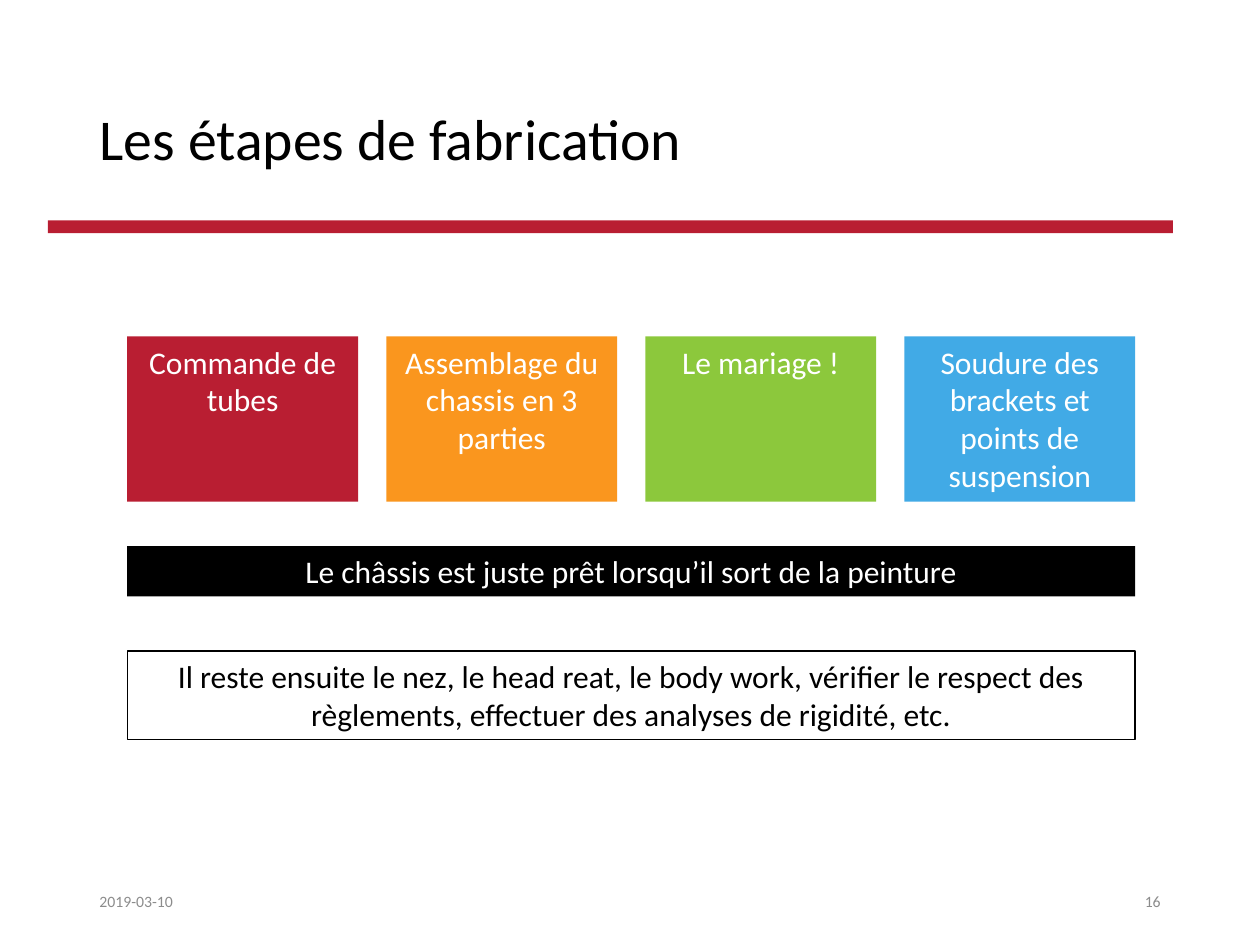
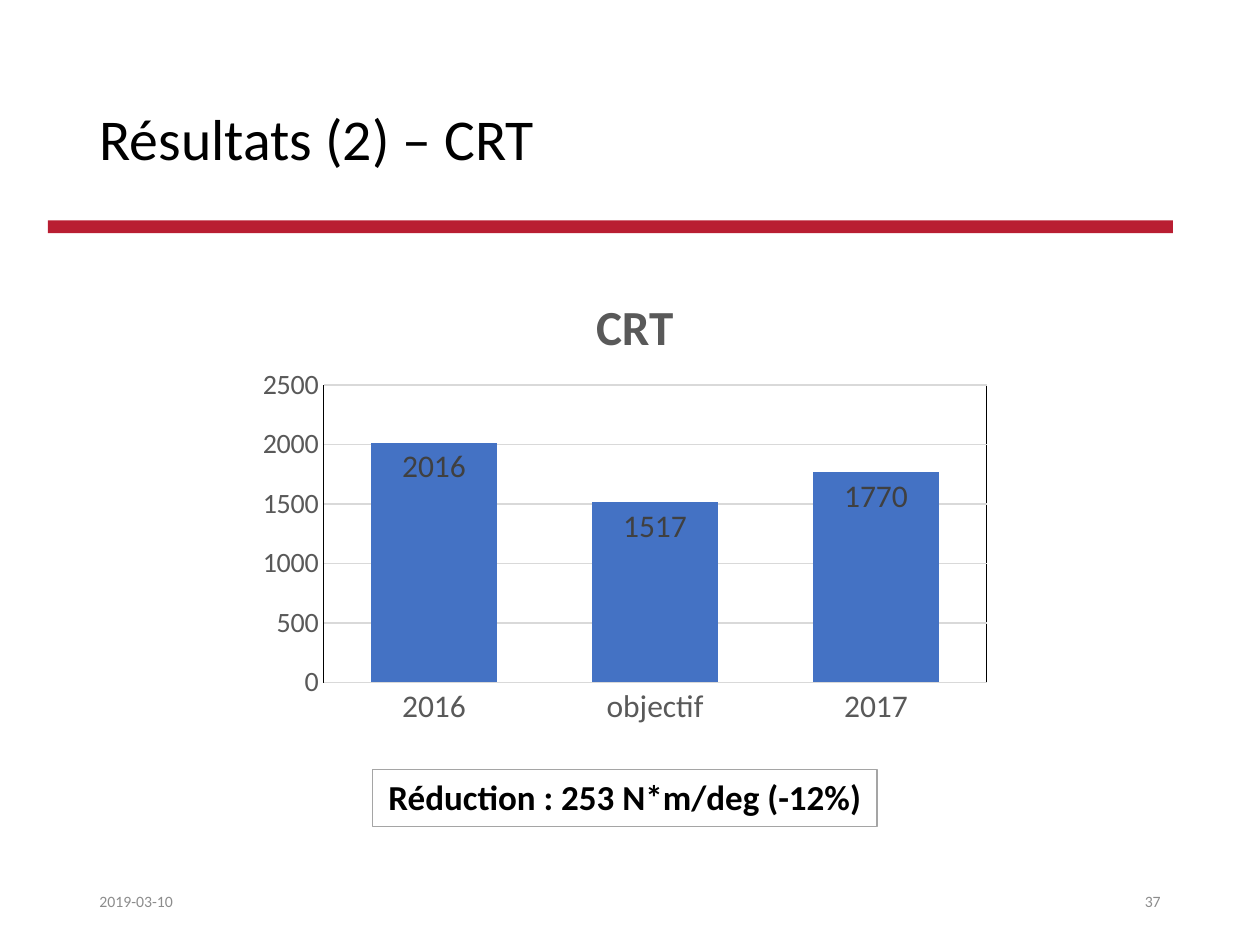
import dataclasses

import pptx
import pptx.chart.data
import pptx.dml.color
import pptx.enum.chart
import pptx.enum.shapes
import pptx.enum.text
import pptx.oxml
import pptx.oxml.ns
import pptx.util

ALIGN = pptx.enum.text.PP_ALIGN
ANCHOR = pptx.enum.text.MSO_ANCHOR
TICK = pptx.enum.chart.XL_TICK_MARK


@dataclasses.dataclass(frozen=True)
class Theme:
    font: str = "Calibri"
    red: str = "B91E32"
    orange: str = "FA961E"
    green: str = "8CC83C"
    sky: str = "41AAE6"
    bar: str = "4472C4"
    black: str = "000000"
    white: str = "FFFFFF"
    footer_grey: str = "8C8C8C"
    axis_grey: str = "595959"
    label_grey: str = "404040"
    grid_grey: str = "D9D9D9"
    border_grey: str = "A5A5A5"
    title_size: int = 33
    chart_title_size: int = 28
    callout_size: int = 20
    body_size: int = 18
    scale_size: int = 16
    footer_size: int = 9


THEME = Theme()


@dataclasses.dataclass(frozen=True)
class Box:
    left: float
    top: float
    width: float
    height: float

    def region(self, left, top, width, height):
        """Return a box given as shares of this one."""
        return Box(self.left + left * self.width, self.top + top * self.height,
                   width * self.width, height * self.height)

    def columns(self, count, gap):
        """Split into equal columns; gap is a share of the width."""
        width = (1 - gap * (count - 1)) / count
        return [self.region(i * (width + gap), 0, width, 1) for i in range(count)]

    def emu(self):
        return [pptx.util.Inches(v) for v in dataclasses.astuple(self)]


SLIDE = Box(0, 0, 10, 7.5)
HEADER = Box(0.38, 0.4, 8.93, 1.45)
FOOTER = Box(0.69, 6.95, 8.62, 0.4)
STEPS_AREA = Box(1.01, 2.67, 8, 3.2)
RESULTS_AREA = Box(1.97, 2.03, 5.98, 4.53)


def rgb(color):
    return pptx.dml.color.RGBColor.from_string(color)


def style_font(font, size, color, bold=False):
    font.name = THEME.font
    font.size = pptx.util.Pt(size)
    font.bold = bold
    font.color.rgb = rgb(color)


def write(shape, text, size=THEME.body_size, color=THEME.black, bold=False,
          align=ALIGN.LEFT, anchor=ANCHOR.MIDDLE, spacing=None):
    frame = shape.text_frame
    frame.word_wrap = True
    frame.vertical_anchor = anchor
    paragraph = frame.paragraphs[0]
    paragraph.alignment = align
    paragraph.line_spacing = spacing
    run = paragraph.add_run()
    run.text = text
    style_font(run.font, size, color, bold)


def add_text(slide, box, text, **text_format):
    write(slide.shapes.add_textbox(*box.emu()), text, **text_format)


def add_block(slide, box, fill, text=None, line=None, line_width=0.75, **text_format):
    shape = slide.shapes.add_shape(pptx.enum.shapes.MSO_SHAPE.RECTANGLE, *box.emu())
    shape.shadow.inherit = False
    shape.fill.solid()
    shape.fill.fore_color.rgb = rgb(fill)
    if line:
        shape.line.color.rgb = rgb(line)
        shape.line.width = pptx.util.Pt(line_width)
    else:
        shape.line.fill.background()
    if text:
        write(shape, text, align=ALIGN.CENTER, anchor=ANCHOR.TOP, **text_format)


def add_header(slide, box, title):
    add_block(slide, box.region(0, 0.93, 1, 0.07), THEME.red)
    add_text(slide, box.region(0.035, 0, 0.965, 1), title,
             size=THEME.title_size, spacing=0.9)


def add_footer(slide, box, date, number):
    style = {"size": THEME.footer_size, "color": THEME.footer_grey}
    add_text(slide, box.region(0, 0, 0.26, 1), date, **style)
    add_text(slide, box.region(0.74, 0, 0.26, 1), number, align=ALIGN.RIGHT, **style)


def add_framed_slide(presentation, title, number):
    slide = presentation.slides.add_slide(presentation.slide_layouts[6])
    add_header(slide, HEADER, title)
    add_footer(slide, FOOTER, "2019-03-10", number)
    return slide


def add_steps(slide, box):
    steps = [
        ("Commande de tubes", THEME.red),
        ("Assemblage du chassis en 3 parties", THEME.orange),
        ("Le mariage !", THEME.green),
        ("Soudure des brackets et points de suspension", THEME.sky),
    ]
    columns = box.region(0, 0, 1, 0.41).columns(len(steps), gap=0.028)
    for column, (text, fill) in zip(columns, steps):
        add_block(slide, column, fill, text, color=THEME.white)
    add_block(slide, box.region(0, 0.52, 1, 0.125), THEME.black,
              "Le châssis est juste prêt lorsqu’il sort de la peinture",
              color=THEME.white)
    add_block(slide, box.region(0, 0.78, 1, 0.22), THEME.white,
              "Il reste ensuite le nez, le head reat, le body work, vérifier le respect "
              "des règlements, effectuer des analyses de rigidité, etc.",
              line=THEME.black)


def place_in_chart(element, inner=False, **shares):
    """Fix the place of a chart title or plot area by shares of the chart."""
    for old in element.findall(pptx.oxml.ns.qn("c:layout")):
        element.remove(old)
    target = '<c:layoutTarget val="inner"/>' if inner else ""
    modes = "".join(f'<c:{name}Mode val="edge"/>' for name in ("x", "y"))
    values = "".join(f'<c:{name} val="{value}"/>' for name, value in shares.items())
    layout = pptx.oxml.parse_xml(
        f'<c:layout {pptx.oxml.ns.nsdecls("c")}><c:manualLayout>'
        f"{target}{modes}{values}</c:manualLayout></c:layout>")
    element.insert(0 if inner else 1, layout)


def outline_plot(plot_area, color):
    plot_area.append(pptx.oxml.parse_xml(
        f'<c:spPr {pptx.oxml.ns.nsdecls("c", "a")}><a:noFill/><a:ln w="0">'
        f'<a:solidFill><a:srgbClr val="{color}"/></a:solidFill></a:ln></c:spPr>'))


def style_axis(axis, size):
    axis.major_tick_mark = axis.minor_tick_mark = TICK.NONE
    style_font(axis.tick_labels.font, size, THEME.axis_grey)


def style_hairline(line):
    line.color.rgb = rgb(THEME.grid_grey)
    line.width = pptx.util.Pt(0.75)


def add_stiffness_chart(slide, box):
    data = pptx.chart.data.CategoryChartData()
    data.categories = ["2016", "objectif", "2017"]
    data.add_series("CRT", [2016, 1517, 1770])
    chart = slide.shapes.add_chart(
        pptx.enum.chart.XL_CHART_TYPE.COLUMN_CLUSTERED, *box.emu(), data).chart
    chart.has_legend = False
    style_font(chart.font, 10, THEME.black)

    chart.has_title = True
    run = chart.chart_title.text_frame.paragraphs[0].add_run()
    run.text = "CRT"
    style_font(run.font, THEME.chart_title_size, THEME.axis_grey, bold=True)
    place_in_chart(chart.chart_title._element, x=0.45, y=0.06)

    style_axis(chart.category_axis, THEME.body_size)
    style_hairline(chart.category_axis.format.line)
    value_axis = chart.value_axis
    style_axis(value_axis, THEME.scale_size)
    value_axis.minimum_scale, value_axis.maximum_scale = 0, 2500
    value_axis.major_unit = 500
    value_axis.format.line.fill.background()
    style_hairline(value_axis.major_gridlines.format.line)

    plot = chart.plots[0]
    plot.gap_width, plot.overlap = 75, 40
    plot.vary_by_categories = False
    series = plot.series[0]
    series.format.fill.solid()
    series.format.fill.fore_color.rgb = rgb(THEME.bar)
    labels = series.data_labels
    labels.show_value = True
    labels.position = pptx.enum.chart.XL_LABEL_POSITION.INSIDE_END
    style_font(labels.font, THEME.body_size, THEME.label_grey)

    plot_area = chart._chartSpace.chart.plotArea
    place_in_chart(plot_area, inner=True, x=0.1, y=0.27, w=0.88, h=0.62)
    outline_plot(plot_area, THEME.black)


def add_results(slide, box):
    add_stiffness_chart(slide, box.region(0, 0, 1, 0.84))
    add_block(slide, box.region(0.165, 0.9, 0.67, 0.1), THEME.white,
              "Réduction : 253 N*m/deg (-12%)", line=THEME.border_grey,
              line_width=1, size=THEME.callout_size, bold=True)


def main():
    presentation = pptx.Presentation()
    presentation.slide_width = pptx.util.Inches(SLIDE.width)
    presentation.slide_height = pptx.util.Inches(SLIDE.height)
    add_steps(add_framed_slide(presentation, "Les étapes de fabrication", "16"),
              STEPS_AREA)
    add_results(add_framed_slide(presentation, "Résultats (2) – CRT", "37"),
                RESULTS_AREA)
    presentation.save("out.pptx")


if __name__ == "__main__":
    main()
